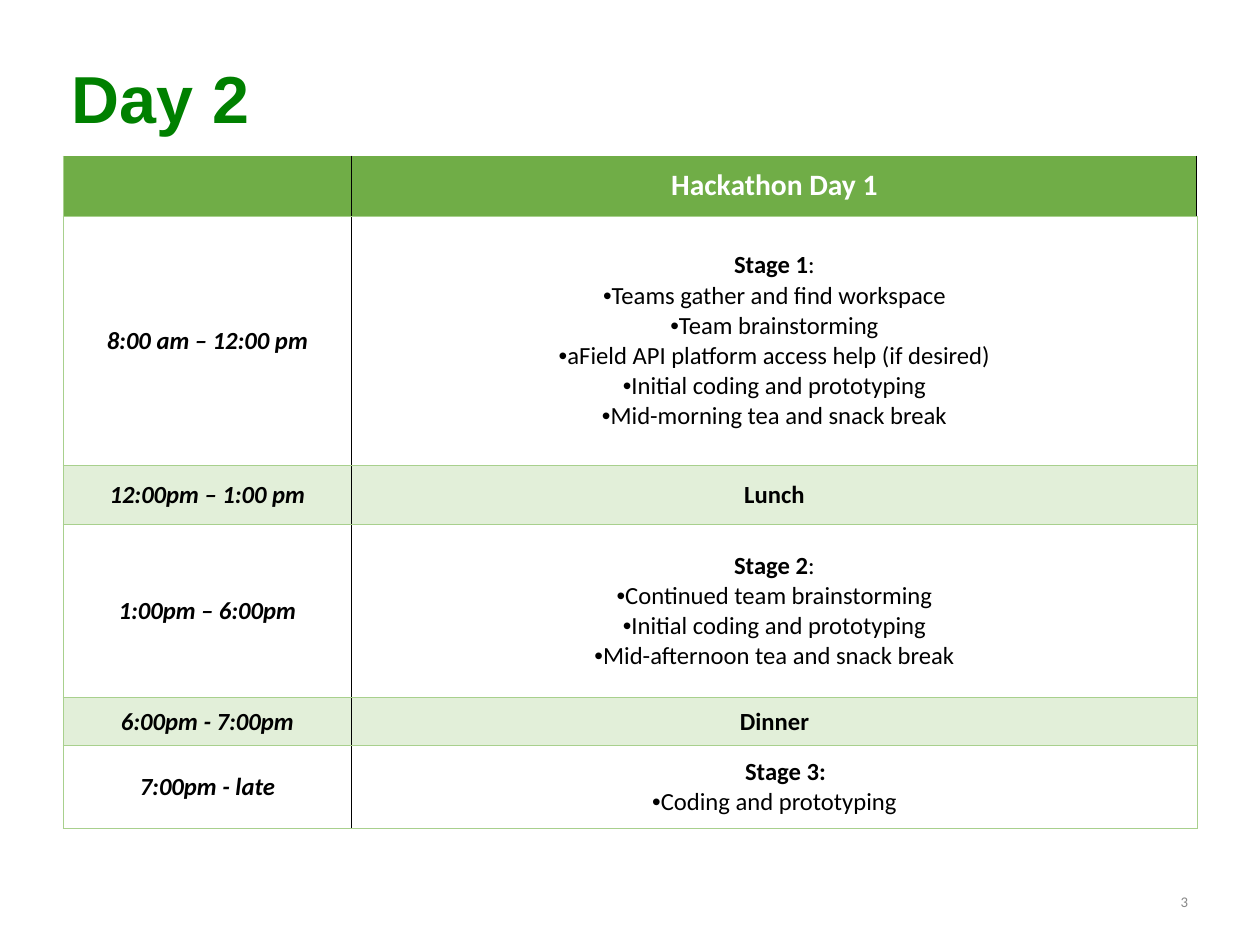
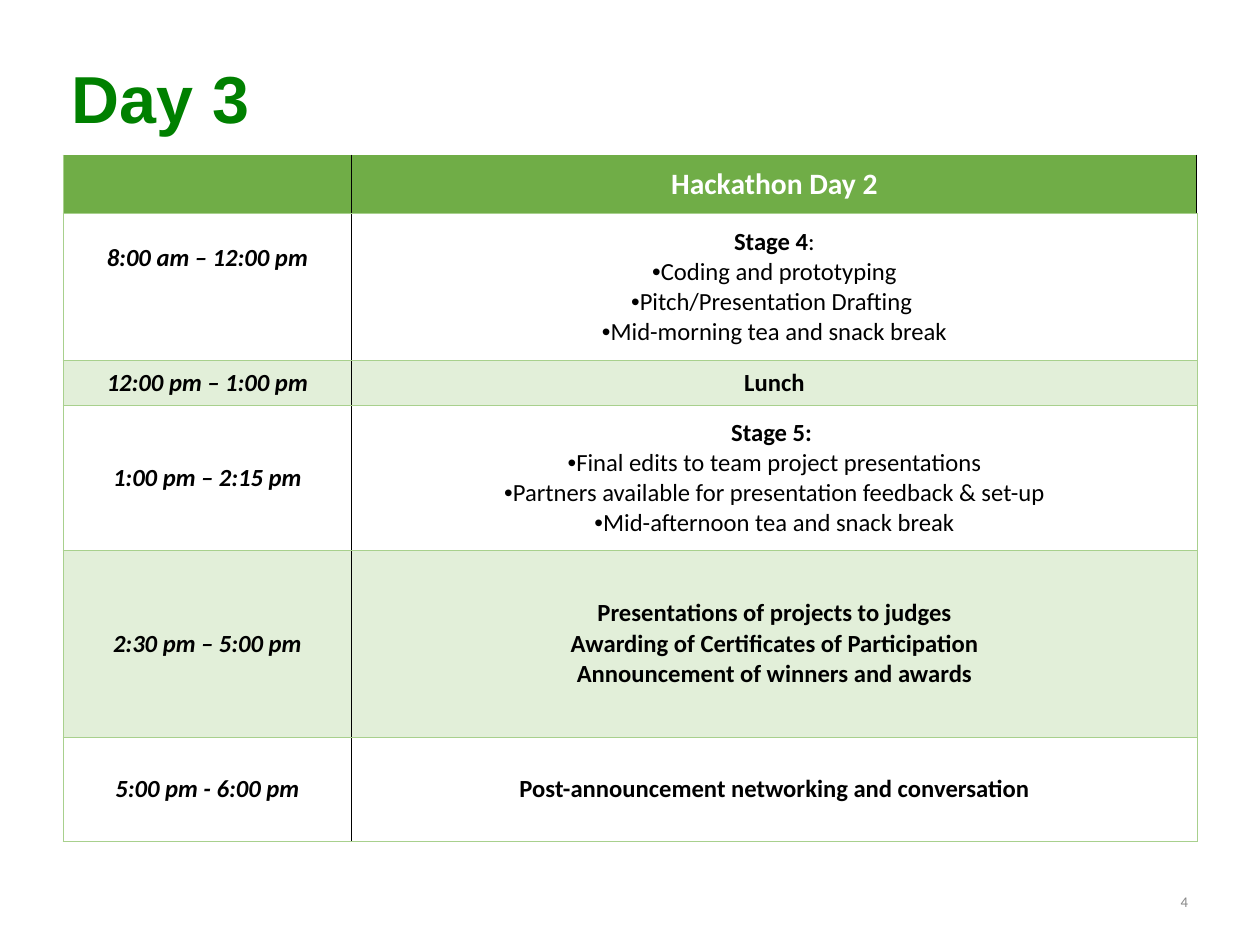
"""Build the two hackathon schedule slides."""
from dataclasses import dataclass

from lxml import etree
from pptx import Presentation
from pptx import util as u
from pptx.dml.color import RGBColor
from pptx.enum import text as tx
from pptx.oxml import ns

WIDE, HIGH = u.Inches(14.22), u.Inches(10.67)
LEFT, SPAN = 5, 90
COLS = (22.93, 67.07)
GREEN, HEAD, PALE, RULE = "008000", "70AD47", "E2EFD9", "A8D08D"
BLACK, WHITE, GREY = "000000", "FFFFFF", "888888"
MID = tx.MSO_ANCHOR.MIDDLE
ALIGN = {"l": tx.PP_ALIGN.LEFT, "c": tx.PP_ALIGN.CENTER, "r": tx.PP_ALIGN.RIGHT}


@dataclass
class Slot:
    """One schedule row: share of height, time and lines ('|' ends bold)."""
    size: float
    time: str
    lines: tuple[str, ...]
    shade: bool = False
    lift: float = 0
    hang: float = 0


@dataclass
class Day:
    """One schedule slide."""
    title: str
    head: str
    page: str
    top: float
    rise: float
    pad: float
    slots: tuple[Slot, ...]


DAYS = (
    Day("Day 2", "Hackathon Day 1", "3", 16.5, 6.36, 0.07, (
        Slot(26.43, "8:00 am – 12:00 pm", (
            "Stage 1|:", "•Teams gather and find workspace",
            "•Team brainstorming",
            "•aField API platform access help (if desired)",
            "•Initial coding and prototyping",
            "•Mid-morning tea and snack break")),
        Slot(6.19, "12:00pm – 1:00 pm", ("Lunch",), shade=True),
        Slot(18.37, "1:00pm – 6:00pm", (
            "Stage 2|:", "•Continued team brainstorming",
            "•Initial coding and prototyping",
            "•Mid-afternoon tea and snack break")),
        Slot(5.06, "6:00pm - 7:00pm", ("Dinner",), shade=True),
        Slot(8.76, "7:00pm - late",
             ("Stage 3:", "•Coding and prototyping"), hang=0.25))),
    Day("Day 3", "Hackathon Day 2", "4", 16.4, 6.19, 0.06, (
        Slot(15.52, "8:00 am – 12:00 pm", (
            "Stage 4|:", "•Coding and prototyping",
            "•Pitch/Presentation Drafting ",
            "•Mid-morning tea and snack break"), lift=0.64),
        Slot(4.84, "12:00 pm – 1:00 pm", ("Lunch",), shade=True),
        Slot(15.28, "1:00 pm – 2:15 pm", (
            "Stage 5: ", "•Final edits to team project presentations",
            "•Partners available for presentation feedback & set-up",
            "•Mid-afternoon tea and snack break")),
        Slot(19.78, "2:30 pm – 5:00 pm", (
            "Presentations of projects to judges",
            "Awarding of Certificates of Participation",
            "Announcement of winners and awards"), shade=True),
        Slot(11.06, "5:00 pm - 6:00 pm",
             ("Post-announcement networking and conversation",)))),
)


def tint(code: str) -> RGBColor:
    """Turn a hex string into a colour."""
    return RGBColor.from_string(code)


def across(share: float) -> int:
    """Convert a percentage of the slide's width to a length."""
    return round(WIDE * share / 100)


def down(share: float) -> int:
    """Convert a percentage of the slide's height to a length."""
    return round(HIGH * share / 100)


def write(para, words: str, *, size: float = 20, font: str = "Calibri",
          color: str = BLACK, bold: bool = False, slant: bool = False,
          align: str = "c") -> None:
    """Add a formatted run to a paragraph."""
    para.alignment = ALIGN[align]
    run = para.add_run()
    run.text = words
    face = run.font
    face.name, face.size = font, u.Pt(size)
    face.bold, face.italic = bold, slant
    face.color.rgb = tint(color)


def inset(para, hang: float) -> None:
    """Set a hanging indent in inches, with zero written out."""
    prop = para._p.get_or_add_pPr()
    prop.set("marL", str(u.Inches(2 * hang)))
    prop.set("indent", str(-u.Inches(hang)))


def dot(para) -> None:
    """Give a paragraph a round black bullet set tight to its text."""
    inset(para, 0)
    prop = para._p.get_or_add_pPr()
    hue = etree.SubElement(prop, ns.qn("a:buClr"))
    etree.SubElement(hue, ns.qn("a:srgbClr"), val=BLACK)
    etree.SubElement(prop, ns.qn("a:buFont"), typeface="Arial")
    etree.SubElement(prop, ns.qn("a:buChar"), char="•")


def edge(cell, **sides: str) -> None:
    """Draw the borders of a cell, black ones slightly wider."""
    prop = cell._tc.get_or_add_tcPr()
    for side in "LRTB":
        color = sides.get(side, RULE)
        width = u.Pt(1 if color == BLACK else 0.75)
        line = etree.SubElement(prop, ns.qn(f"a:ln{side}"), w=str(width))
        fill = etree.SubElement(line, ns.qn("a:solidFill"))
        etree.SubElement(fill, ns.qn("a:srgbClr"), val=color)


def dress(cell, pad: float, color: str = "", **sides: str) -> None:
    """Set the borders, fill and margins of a cell."""
    edge(cell, **sides)
    if color:
        cell.fill.solid()
        cell.fill.fore_color.rgb = tint(color)
    else:
        cell.fill.background()
    cell.vertical_anchor = MID
    cell.margin_left = cell.margin_right = u.Inches(pad)
    cell.margin_top = cell.margin_bottom = u.Inches(0.04)


def list_out(frame, slot: Slot) -> None:
    """Write the bold lines and bullets of a slot."""
    for i, line in enumerate(slot.lines):
        para = frame.add_paragraph() if i else frame.paragraphs[0]
        if line.startswith("•"):
            write(para, line[1:])
            dot(para)
            continue
        strong, _, plain = line.partition("|")
        write(para, strong, bold=True)
        if plain:
            write(para, plain)
        inset(para, slot.hang)


def plan(slide, day: Day) -> None:
    """Draw the schedule table of a day."""
    sizes = [day.rise] + [slot.size for slot in day.slots]
    grid = slide.shapes.add_table(
        len(sizes), len(COLS), across(LEFT), down(day.top),
        across(SPAN), down(sum(sizes))).table
    grid.first_row = grid.horz_banding = False
    for col, share in zip(grid.columns, COLS):
        col.width = across(share)
    for row, share in zip(grid.rows, sizes):
        row.height = down(share)
    dress(grid.cell(0, 0), day.pad, HEAD, T=HEAD, R=BLACK)
    top = grid.cell(0, 1)
    dress(top, day.pad, HEAD, T=HEAD, L=BLACK, R=BLACK)
    write(top.text_frame.paragraphs[0], day.head,
          size=24, color=WHITE, bold=True)
    for i, slot in enumerate(day.slots, 1):
        when, what = grid.cell(i, 0), grid.cell(i, 1)
        shade = PALE if slot.shade else ""
        dress(when, day.pad, shade, R=BLACK)
        dress(what, day.pad, shade, L=BLACK)
        when.margin_bottom = u.Inches(0.04 + slot.lift)
        write(when.text_frame.paragraphs[0], slot.time, bold=True, slant=True)
        list_out(what.text_frame, slot)


def label(shape, words: str, **style) -> None:
    """Fill a one-line shape with text at mid height."""
    frame = shape.text_frame
    frame.word_wrap = True
    frame.auto_size = tx.MSO_AUTO_SIZE.NONE
    frame.vertical_anchor = MID
    write(frame.paragraphs[0], words, **style)


def build(deck, day: Day) -> None:
    """Add one schedule slide."""
    slide = deck.slides.add_slide(deck.slide_layouts[5])
    title = slide.shapes.title
    title.left, title.top = across(LEFT), down(4.03)
    title.width, title.height = across(SPAN), down(12.56)
    label(title, day.title, size=54, font="Arial", color=GREEN,
          bold=True, align="l")
    plan(slide, day)
    foot = slide.shapes.add_textbox(
        across(71.66), down(92.69), across(23.34), down(5.34))
    label(foot, day.page, size=12, color=GREY, align="r")


def main() -> None:
    """Build and save the deck."""
    deck = Presentation()
    deck.slide_width, deck.slide_height = WIDE, HIGH
    for day in DAYS:
        build(deck, day)
    deck.save("out.pptx")


main()
